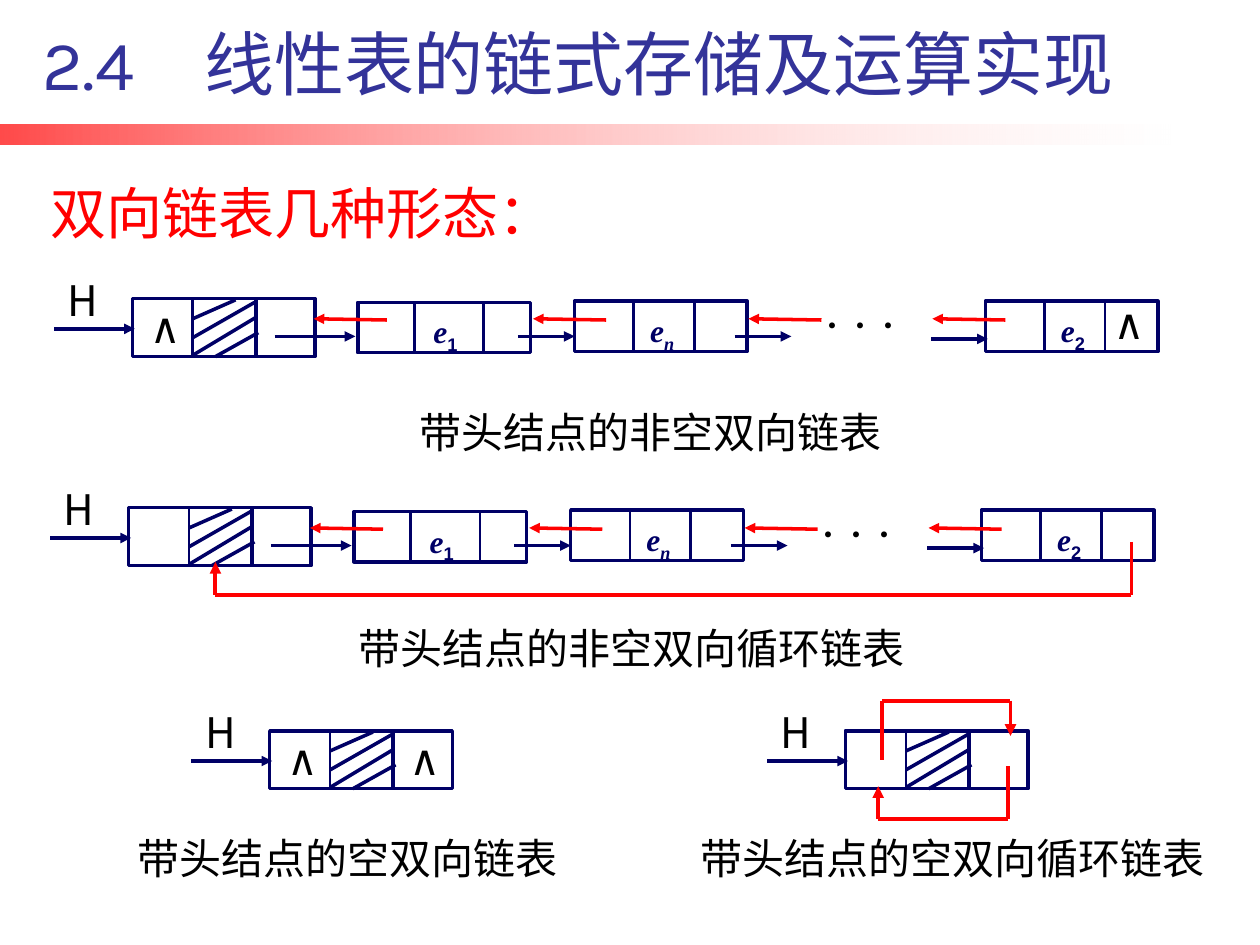
from itertools import pairwise

from lxml.etree import SubElement
from pptx import Presentation
from pptx.dml.color import RGBColor
from pptx.enum.shapes import MSO_CONNECTOR, MSO_SHAPE
from pptx.enum.text import MSO_ANCHOR, MSO_AUTO_SIZE, PP_ALIGN
from pptx.oxml.ns import qn
from pptx.util import Inches, Pt

NAVY, RED, BLACK, VIOLET = "000066", "FF0000", "000000", "333399"
CHINESE, LATIN, SERIF, SANS = "Noto Sans CJK SC", "Karla", "Times New Roman", "Arial"


def color(value):
    return RGBColor.from_string(value)


class ListSlide:
    """Draws the elements of a linked-list slide in one shared style."""

    def __init__(self, deck):
        self.page = deck.slides.add_slide(deck.slide_layouts[5])

    def style(self, paragraph, size, font, shade):
        paragraph.font.size = Pt(size)
        paragraph.font.name = font
        paragraph.font.color.rgb = color(shade)
        for span in paragraph.runs:
            SubElement(span._r.get_or_add_rPr(), qn("a:ea"), typeface=CHINESE)

    def bar(self, left, top, width, height):
        bar = self.page.shapes.add_shape(
            MSO_SHAPE.RECTANGLE, Inches(left), Inches(top), Inches(width), Inches(height))
        bar.shadow.inherit = False
        bar.line.fill.background()
        bar.fill.gradient()
        bar.fill.gradient_angle = 0
        for stop, shade in zip(bar.fill.gradient_stops, (RED, "FFFFFF")):
            stop.color.rgb = color(shade)
        tints = bar._element.spPr.iter(qn("a:srgbClr"))
        for tint, opacity in zip(tints, ("71000", "18000")):
            SubElement(tint, qn("a:alpha"), val=opacity)

    def title(self, text, left, top, width, height):
        box = self.page.shapes.title
        box.left, box.top = Inches(left), Inches(top)
        box.width, box.height = Inches(width), Inches(height)
        frame = box.text_frame
        frame.text = text
        frame.auto_size = MSO_AUTO_SIZE.NONE
        frame.vertical_anchor = MSO_ANCHOR.BOTTOM
        frame.margin_bottom = 0
        para = frame.paragraphs[0]
        para.alignment = PP_ALIGN.LEFT
        para.line_spacing = 1.15
        self.style(para, 32, CHINESE, RED)

    def heading(self, text, left, top, width, height):
        frame = self.text(text, left, top, width, height, 40, LATIN, VIOLET)
        frame.word_wrap = True
        frame.vertical_anchor = MSO_ANCHOR.BOTTOM
        frame.margin_bottom = 0
        frame.paragraphs[0].alignment = PP_ALIGN.CENTER

    def text(self, text, left, top, width, height=0.5, size=24, font=CHINESE, shade=BLACK):
        box = self.page.shapes.add_textbox(
            Inches(left), Inches(top), Inches(width), Inches(height))
        frame = box.text_frame
        frame.word_wrap = False
        frame.text = text
        self.style(frame.paragraphs[0], size, font, shade)
        return frame

    def line(self, start, end, shade=NAVY, weight=2, arrow=False):
        line = self.page.shapes.add_connector(
            MSO_CONNECTOR.STRAIGHT, *map(Inches, start), *map(Inches, end))
        line.line.color.rgb = color(shade)
        line.line.width = Pt(weight)
        if arrow:
            SubElement(line.line._get_or_add_ln(), qn("a:tailEnd"), type="triangle")
        SubElement(line._element.spPr, qn("a:effectLst"))

    def route(self, *points):
        for start, end in pairwise(points):
            self.line(start, end, RED, 2.25, arrow=end == points[-1])

    def outline(self, shape):
        shape.shadow.inherit = False
        shape.fill.background()
        shape.line.color.rgb = color(NAVY)
        shape.line.width = Pt(2)

    def cell(self, left, top, width, height):
        cell = self.page.shapes.add_shape(
            MSO_SHAPE.RECTANGLE, Inches(left), Inches(top), Inches(width), Inches(height))
        self.outline(cell)
        return cell

    def hatch(self, start, end):
        builder = self.page.shapes.build_freeform(*map(Inches, start))
        builder.add_line_segments([tuple(map(Inches, end))], close=False)
        self.outline(builder.convert_to_shape())

    def nil(self, left, top):
        self.text("∧", left, top, 0.45, font=LATIN)

    def head(self, left, top):
        self.text("H", left - 0.61, top - 0.24, 0.5)
        self.line((left - 0.62, top + 0.24), (left + 0.02, top + 0.24), arrow=True)
        self.cell(left, top, 1.45, 0.46)
        for offset, weight in ((0.48, 1.5), (0.98, 2)):
            self.line((left + offset, top - 0.01), (left + offset, top + 0.46), weight=weight)
        for x1, y1, x2, y2 in ((0.82, 0.01, 0.48, 0.16), (0.97, 0.03, 0.48, 0.31),
                               (0.98, 0.15, 0.48, 0.45), (1, 0.27, 0.66, 0.46)):
            self.hatch((left + x1, top + y1), (left + x2, top + y2))

    def node(self, left, top, index, font, dividers):
        cell = self.cell(left, top, 1.37, 0.4)
        frame = cell.text_frame
        frame.vertical_anchor = MSO_ANCHOR.TOP
        frame.margin_left, frame.margin_top = Inches(0.6), Inches(0.08)
        frame.margin_right = frame.margin_bottom = 0
        para = frame.paragraphs[0]
        para.alignment = PP_ALIGN.LEFT
        para.font.size = Pt(18)
        para.font.bold = True
        for letter, face in (("e", SERIF), (index, font)):
            span = para.add_run()
            span.text = letter
            span.font.name = face
            span.font.italic = face == SERIF
            span.font.color.rgb = color(NAVY)
        span._r.get_or_add_rPr().set("baseline", "-25000")
        for offset in dividers:
            self.line((left + offset, top), (left + offset, top + 0.4), weight=1.5)

    def chain(self, left, top):
        self.head(left, top)
        for x, y, index, font, dividers in ((1.79, 0.03, "1", SANS, (0.45, 1)),
                                            (3.51, 0.02, "n", SERIF, (0.47, 0.95)),
                                            (6.77, 0.02, "2", SANS, (0.47, 0.95))):
            self.node(left + x, top + y, index, font, dividers)
        for x in (2.02, 3.76, 5.47, 6.93):
            self.line((left + x, top + 0.17), (left + x - 0.58, top + 0.16), RED, arrow=True)
        for x1, x2, y in ((1.13, 1.77, 0.3), (3.06, 3.51, 0.3),
                          (4.78, 5.23, 0.3), (6.34, 6.79, 0.32)):
            self.line((left + x1, top + y), (left + x2, top + y), arrow=True)
        self.text("···", left + 5.35, top + 0.03, 0.87, 0.37, size=16)


def main():
    deck = Presentation()
    deck.slide_width, deck.slide_height = Inches(10), Inches(7.5)
    slide = ListSlide(deck)
    slide.bar(0, 0.99, 9.29, 0.16)
    slide.title("双向链表几种形态：", 0.3, 1.31, 5.04, 0.64)
    slide.heading("2.4　线性表的链式存储及运算实现", 0.01, 0.3, 9.15, 0.53)

    slide.chain(1.05, 2.37)
    slide.nil(1.09, 2.34)
    slide.nil(8.74, 2.31)
    slide.chain(1.02, 4.03)
    slide.route((8.98, 4.3), (8.98, 4.72), (1.71, 4.72), (1.71, 4.46))

    slide.head(2.14, 5.8)
    slide.nil(2.18, 5.77)
    slide.nil(3.15, 5.77)
    slide.head(6.71, 5.8)
    slide.route((7, 6.03), (7, 5.56), (8.02, 5.56), (8.02, 5.84))
    slide.route((8, 6.08), (8, 6.5), (6.97, 6.5), (6.97, 6.24))

    for caption, left, top, width in (("带头结点的非空双向链表", 3.23, 3.18, 3.9),
                                      ("带头结点的非空双向循环链表", 2.75, 4.89, 4.58),
                                      ("带头结点的空双向链表", 0.99, 6.56, 3.57),
                                      ("带头结点的空双向循环链表", 5.46, 6.56, 4.24)):
        slide.text(caption, left, top, width)
    deck.save("out.pptx")


if __name__ == "__main__":
    main()
